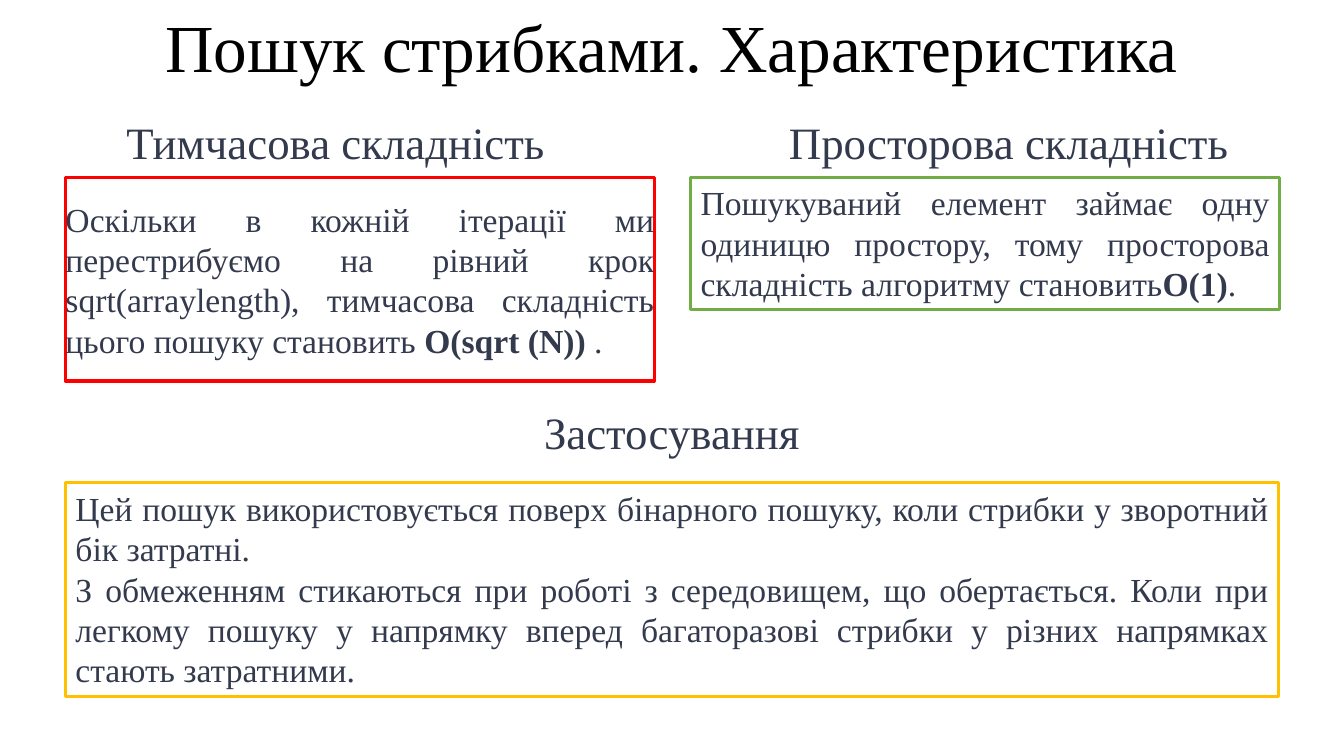
from pptx import Presentation
from pptx.dml.color import RGBColor
from pptx.enum.shapes import MSO_SHAPE as Shape
from pptx.enum.text import MSO_ANCHOR as Anchor, MSO_AUTO_SIZE as AutoSize, PP_ALIGN as Align
from pptx.util import Pt

PX = 9144  # EMU per px, 100 px to the inch
FONT = "Times New Roman"
COLORS = {
    "title": "000000",
    "text": "333A4D",
    "white": "FFFFFF",
    "time": "FF0000",
    "space": "70AD47",
    "usage": "FFC000",
}


def rgb(name):
    return RGBColor.from_string(COLORS[name])


class SlideBuilder:
    def __init__(self, prs):
        self.slide = prs.slides.add_slide(prs.slide_layouts[6])

    def add_text(self, sp, paragraphs, size, color, align):
        """Fill a shape with paragraphs, each a list of runs; odd runs are bold."""
        tf = sp.text_frame
        tf.word_wrap = True
        tf.auto_size = AutoSize.SHAPE_TO_FIT_TEXT
        for i, runs in enumerate(paragraphs):
            p = tf.add_paragraph() if i else tf.paragraphs[0]
            p.alignment = align
            p.font.name = FONT
            p.font.size = Pt(size)
            p.font.color.rgb = rgb(color)
            for j, text in enumerate(runs):
                r = p.add_run()
                r.text = text
                if j % 2:
                    r.font.bold = True

    def heading(self, box, text, size=32, color="text"):
        sp = self.slide.shapes.add_textbox(*(v * PX for v in box))
        self.add_text(sp, [[text]], size, color, Align.CENTER)

    def panel(self, box, line, paragraphs, fill=None, anchor=Anchor.TOP, inset=True):
        sp = self.slide.shapes.add_shape(Shape.RECTANGLE, *(v * PX for v in box))
        sp.shadow.inherit = False
        if fill:
            sp.fill.solid()
            sp.fill.fore_color.rgb = rgb(fill)
        else:
            sp.fill.background()
        sp.line.color.rgb = rgb(line)
        sp.line.width = Pt(2.25)
        tf = sp.text_frame
        tf.vertical_anchor = anchor
        if not inset:
            tf.margin_left = tf.margin_top = tf.margin_right = tf.margin_bottom = 0
        self.add_text(sp, paragraphs, 24, "text", Align.JUSTIFY)


def main():
    prs = Presentation()
    prs.slide_width, prs.slide_height = 1333 * PX, 750 * PX
    s = SlideBuilder(prs)

    s.heading((0, 0, 1333, 91), "Пошук стрибками. Характеристика", 48, "title")
    s.heading((0, 109, 666, 64), "Тимчасова складність")
    s.heading((666, 109, 669, 64), "Просторова складність")
    s.panel((65, 176, 584, 202), "time", [[
        "Оскільки в кожній ітерації ми перестрибуємо на рівний крок sqrt(arraylength), "
        "тимчасова складність цього пошуку становить ",
        "O(sqrt (N))",
        " . ",
    ]], fill="white", anchor=Anchor.MIDDLE, inset=False)
    s.panel((685, 176, 584, 131), "space", [[
        "Пошукуваний елемент займає одну одиницю простору, "
        "тому просторова складність алгоритму становить",
        "O(1)",
        ".",
    ]])
    s.panel((65, 479, 1203, 212), "usage", [
        ["Цей пошук використовується поверх бінарного пошуку, "
         "коли стрибки у зворотний бік затратні."],
        ["З обмеженням стикаються при роботі з середовищем, що обертається. "
         "Коли при легкому пошуку у напрямку вперед багаторазові стрибки "
         "у різних напрямках стають затратними."],
    ])
    s.heading((0, 397, 1333, 64), "Застосування")

    prs.save("out.pptx")


if __name__ == "__main__":
    main()
